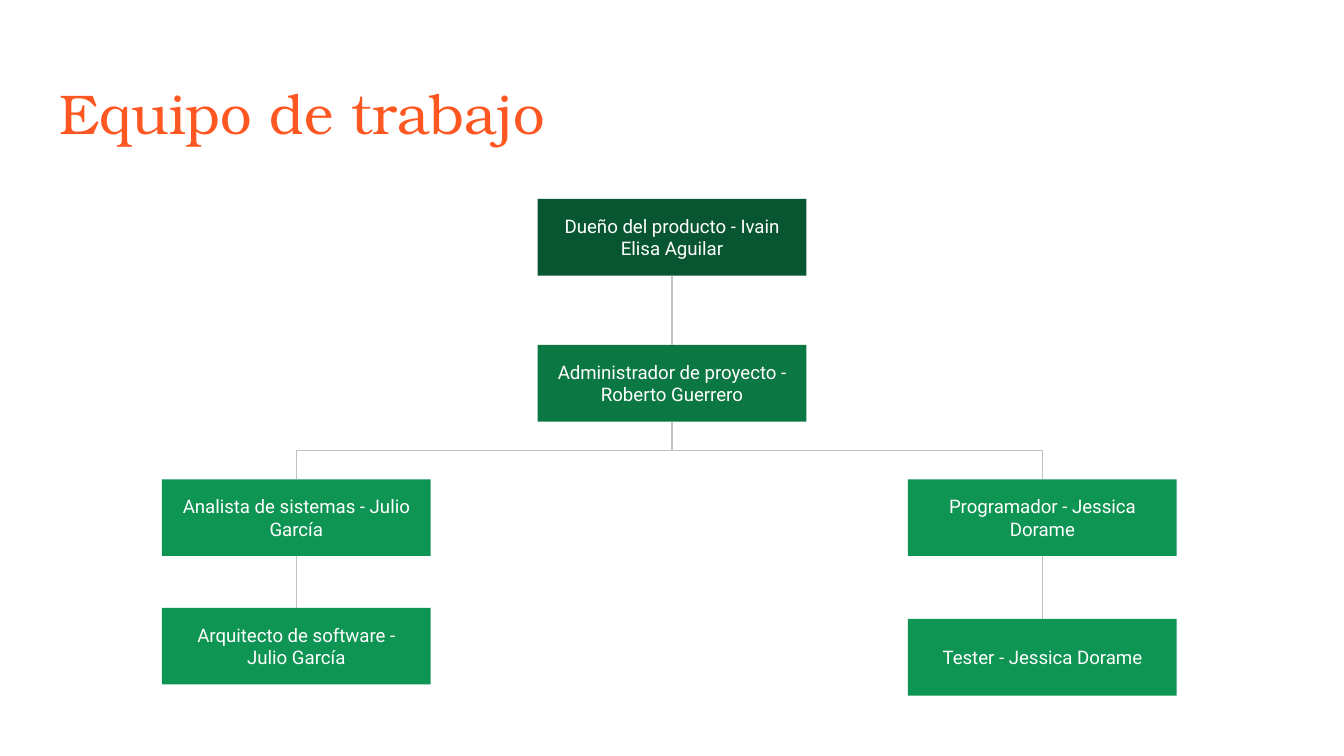
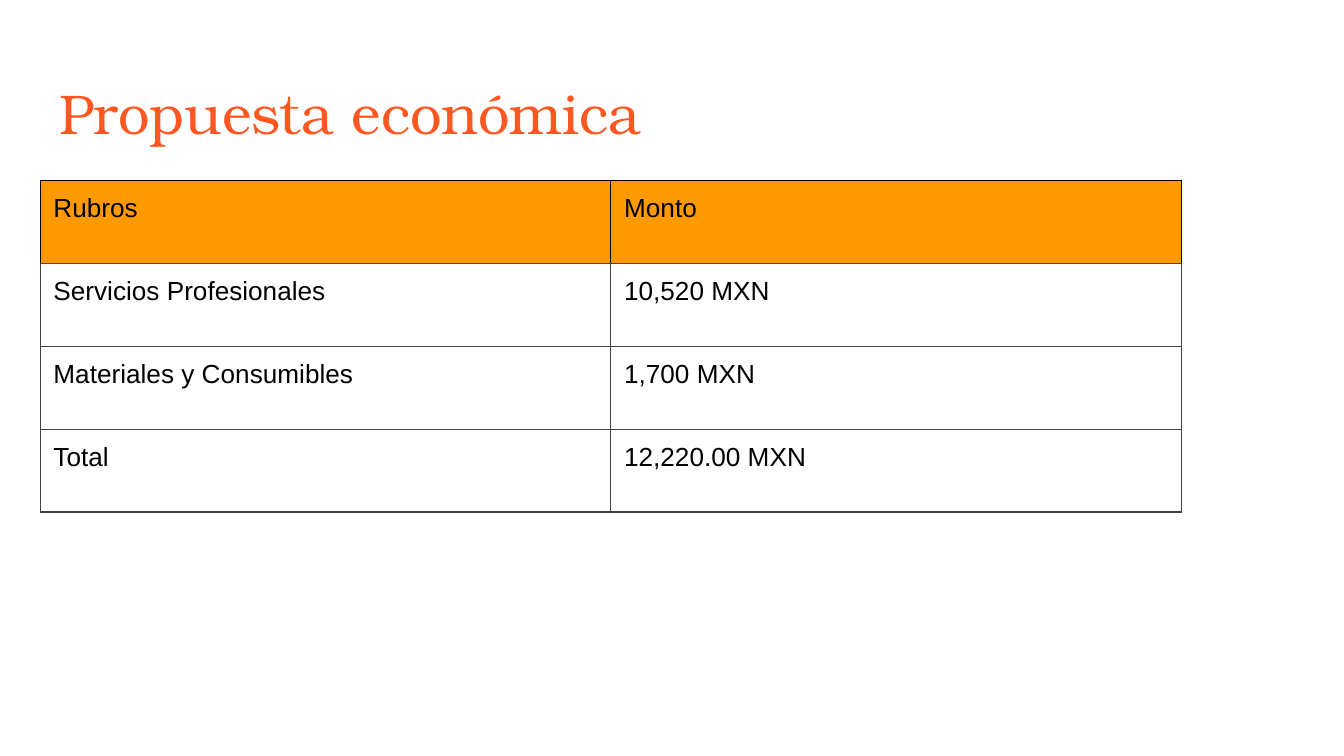
from lxml.etree import SubElement
from pptx import Presentation
from pptx.dml.color import RGBColor
from pptx.enum.shapes import MSO_CONNECTOR as Connector, MSO_SHAPE as Shape
from pptx.enum.text import MSO_ANCHOR as Anchor, PP_ALIGN as Align
from pptx.oxml.ns import qn
from pptx.util import Cm, Pt

# Shared look
WHITE = RGBColor(0xFF, 0xFF, 0xFF)
BLACK = RGBColor(0x00, 0x00, 0x00)
TITLE_ORANGE = RGBColor(0xFF, 0x57, 0x22)
DARK_GREEN = RGBColor(0x08, 0x56, 0x31)
MID_GREEN = RGBColor(0x0B, 0x77, 0x43)
GREEN = RGBColor(0x0E, 0x94, 0x53)
LINE_GREY = RGBColor(0xC2, 0xC2, 0xC2)
HEADER_ORANGE = RGBColor(0xFF, 0x99, 0x00)
BORDER_GREY = RGBColor(0x43, 0x43, 0x43)
TITLE_FONT, BOX_FONT, TABLE_FONT = "TeX Gyre Bonum", "Roboto", "Arial"
INSET = Cm(0.25)
LINE_WIDTH = Pt(0.75)

# Organisation chart: column, top (cm), colour and parent of each role
ROLE_WIDTH, ROLE_HEIGHT = 5.08, 1.45
COLUMNS = {"left": 0, "centre": 7.1, "right": 14.1}
ROLES = {
    "Dueño del producto - Ivain Elisa Aguilar": ("centre", 0, DARK_GREEN, None),
    "Administrador de proyecto - Roberto Guerrero":
        ("centre", 2.76, MID_GREEN, "Dueño del producto - Ivain Elisa Aguilar"),
    "Analista de sistemas - Julio García":
        ("left", 5.3, GREEN, "Administrador de proyecto - Roberto Guerrero"),
    "Programador - Jessica Dorame":
        ("right", 5.3, GREEN, "Administrador de proyecto - Roberto Guerrero"),
    "Arquitecto de software - Julio García":
        ("left", 7.73, GREEN, "Analista de sistemas - Julio García"),
    "Tester - Jessica Dorame":
        ("right", 7.94, GREEN, "Programador - Jessica Dorame"),
}
BUDGET = [
    ("Rubros", "Monto"),
    ("Servicios Profesionales", "10,520 MXN"),
    ("Materiales y Consumibles", "1,700 MXN"),
    ("Total", "12,220.00 MXN"),
]


def write(text_frame, text, font, size, color, align=Align.LEFT):
    text_frame.text = text
    paragraph = text_frame.paragraphs[0]
    paragraph.alignment = align
    for run in paragraph.runs:
        run.font.name, run.font.size = font, Pt(size)
        run.font.color.rgb = color


def set_insets(target):
    target.margin_left = target.margin_right = INSET
    target.margin_top = target.margin_bottom = INSET


def add_titled_slide(presentation, title):
    slide = presentation.slides.add_slide(presentation.slide_layouts[6])
    slide.background.fill.solid()
    slide.background.fill.fore_color.rgb = WHITE
    text_frame = slide.shapes.add_textbox(Cm(0.87), Cm(1.24), Cm(23.67), Cm(1.6)).text_frame
    text_frame.word_wrap = True
    set_insets(text_frame)
    write(text_frame, title, TITLE_FONT, 30, TITLE_ORANGE)
    return slide


def add_role(slide, text, left, top, color):
    shape = slide.shapes.add_shape(
        Shape.RECTANGLE, left, top, Cm(ROLE_WIDTH), Cm(ROLE_HEIGHT))
    shape.shadow.inherit = False
    shape.fill.solid()
    shape.fill.fore_color.rgb = color
    shape.line.fill.background()
    text_frame = shape.text_frame
    text_frame.word_wrap = True
    text_frame.vertical_anchor = Anchor.MIDDLE
    set_insets(text_frame)
    write(text_frame, text, BOX_FONT, 10, WHITE, Align.CENTER)
    return shape


def link_roles(slide, parent, child):
    """Join the parent's bottom to the child's top."""
    start_x, start_y = parent.left + parent.width // 2, parent.top + parent.height
    end_x, end_y = child.left + child.width // 2, child.top
    if start_x == end_x:
        connector = slide.shapes.add_connector(
            Connector.STRAIGHT, start_x, start_y, end_x, end_y)
    else:
        # An elbow leaves sideways, so lay it out turned by a quarter
        middle_x, middle_y = (start_x + end_x) // 2, (start_y + end_y) // 2
        half_drop, half_reach = (end_y - start_y) // 2, abs(end_x - start_x) // 2
        side = 1 if end_x > start_x else -1
        connector = slide.shapes.add_connector(
            Connector.ELBOW, middle_x + side * half_drop, middle_y - half_reach,
            middle_x - side * half_drop, middle_y + half_reach)
        turn = 270 if side > 0 else 90
        connector._element.spPr.find(qn("a:xfrm")).set("rot", str(turn * 60000))
    connector.line.color.rgb = LINE_GREY
    connector.line.width = LINE_WIDTH
    SubElement(connector._element.spPr, qn("a:effectLst"))


def add_team_chart(slide, left, top):
    shapes = {}
    for role, (column, offset, color, parent) in ROLES.items():
        shapes[role] = add_role(
            slide, role, left + Cm(COLUMNS[column]), top + Cm(offset), color)
        if parent:
            link_roles(slide, shapes[parent], shapes[role])


def set_borders(cell, colors):
    properties = cell._tc.get_or_add_tcPr()
    for position, (side, color) in enumerate(zip("LRTB", colors)):
        line = SubElement(properties, qn(f"a:ln{side}"), w=str(LINE_WIDTH))
        fill = SubElement(line, qn("a:solidFill"))
        SubElement(fill, qn("a:srgbClr"), val=str(color))
        properties.insert(position, line)


def add_budget_table(slide, left, top, width, height):
    rows, columns = len(BUDGET), len(BUDGET[0])
    table = slide.shapes.add_table(rows, columns, left, top, width, height).table
    table.first_row = table.horz_banding = False
    for row, values in enumerate(BUDGET):
        for column, value in enumerate(values):
            cell = table.cell(row, column)
            set_insets(cell)
            write(cell.text_frame, value, TABLE_FONT, 14, BLACK)
            if row == 0:
                cell.fill.solid()
                cell.fill.fore_color.rgb = HEADER_ORANGE
                set_borders(cell, [BLACK, BLACK, BLACK, BORDER_GREY])
            else:
                cell.fill.background()
                set_borders(cell, [BORDER_GREY] * 4)


presentation = Presentation()
presentation.slide_width, presentation.slide_height = Cm(25.4), Cm(14.29)

# Team
team_slide = add_titled_slide(presentation, "Equipo de trabajo")
add_team_chart(team_slide, Cm(3.06), Cm(3.76))

# Budget
budget_slide = add_titled_slide(presentation, "Propuesta económica")
add_budget_table(budget_slide, Cm(0.76), Cm(3.41), Cm(21.57), Cm(6.27))

presentation.save("out.pptx")
